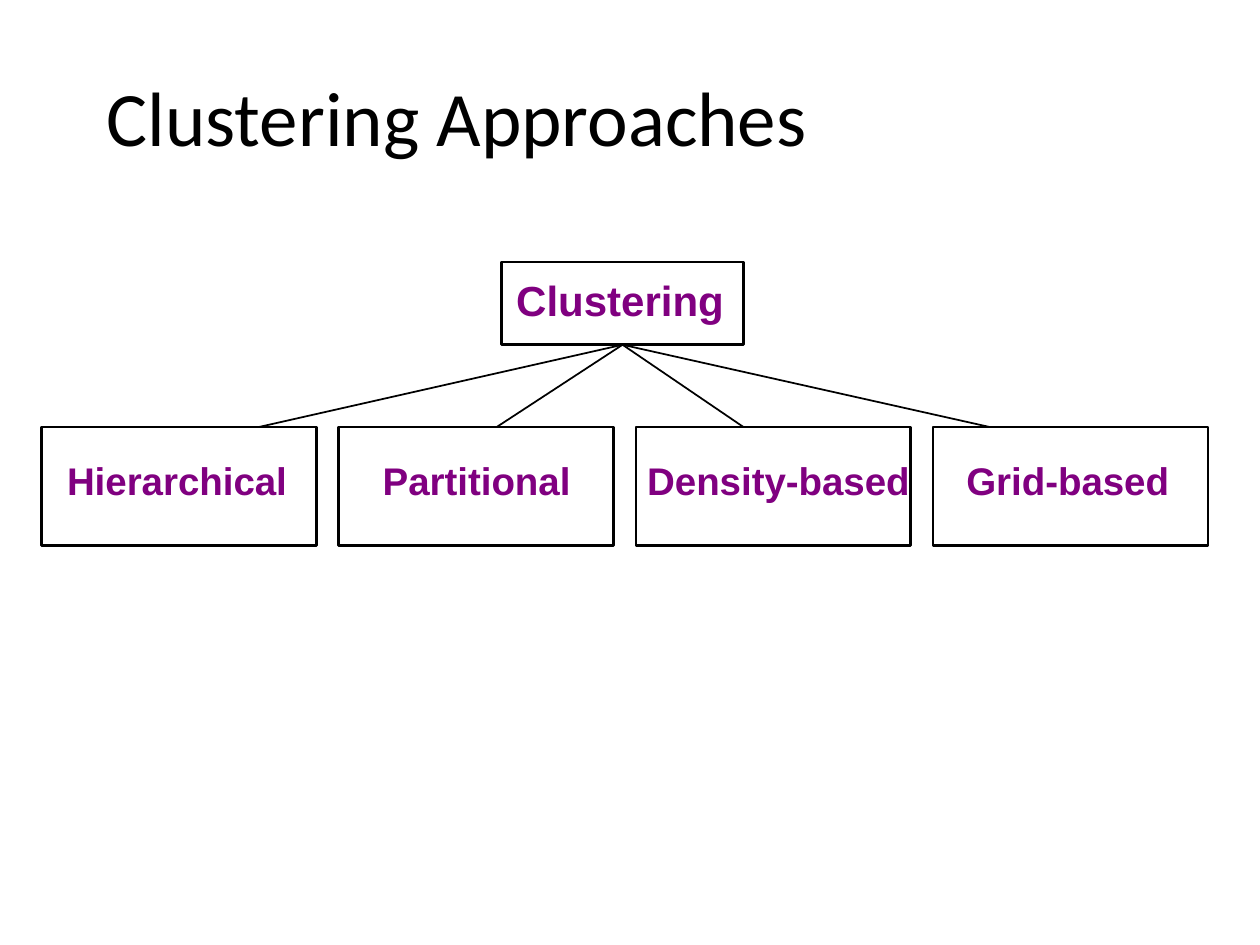
from pptx import Presentation
from pptx.dml.color import RGBColor
from pptx.enum.shapes import MSO_CONNECTOR, MSO_SHAPE
from pptx.enum.text import MSO_ANCHOR, PP_ALIGN
from pptx.oxml.ns import qn
from pptx.util import Cm, Pt
from lxml.etree import SubElement

TITLE = ("Clustering Approaches", (1.9, 0.64, 21.59, 3.38))
ROOT = ("Clustering", (10.06, 5.41, 4.88, 1.27))
# Label, label left, label width, x where the branch meets the box (cm)
APPROACHES = [
    ("Hierarchical", 1.07, 5.0, 5.21),
    ("Partitional", 7.44, 4.34, 10.01),
    ("Density-based", 12.75, 5.89, 14.99),
    ("Grid-based", 19.2, 4.65, 19.96),
]

ROOT_BOX = (10.11, 5.28, 4.88, 1.67)
BOX_LEFT, BOX_TOP, BOX_W, BOX_H, BOX_PITCH = 0.84, 8.61, 5.54, 2.39, 5.99
LABEL_TOP, LABEL_H = 9.09, 1.19

BLACK, PURPLE = RGBColor(0, 0, 0), RGBColor(0x80, 0, 0x80)
THEME = {
    "title": {"name": "Calibri", "size": Pt(44), "color": BLACK},
    "root": {"name": "Arial", "size": Pt(24), "bold": True, "color": PURPLE},
    "approach": {"name": "Arial", "size": Pt(22), "bold": True, "color": PURPLE},
    "line": BLACK,
    "box_width": Pt(1.5),
    "branch_width": Pt(1),
}


def cm(values):
    return [Cm(v) for v in values]


def add_text(shapes, text, place, style, align=PP_ALIGN.CENTER,
             anchor=MSO_ANCHOR.TOP, wrap=True):
    tf = shapes.add_textbox(*cm(place)).text_frame
    tf.word_wrap = wrap
    tf.vertical_anchor = anchor
    p = tf.paragraphs[0]
    p.alignment = align
    r = p.add_run()
    r.text = text
    for key, value in THEME[style].items():
        if key == "color":
            r.font.color.rgb = value
        else:
            setattr(r.font, key, value)


def add_box(shapes, place):
    sp = shapes.add_shape(MSO_SHAPE.RECTANGLE, *cm(place))
    sp.shadow.inherit = False
    sp.fill.background()
    sp.line.color.rgb = THEME["line"]
    sp.line.width = THEME["box_width"]
    return sp


def add_branch(shapes, root, x):
    """Join the bottom of the root box to the row of approaches at x."""
    start = root.left + root.width // 2, root.top + root.height
    branch = shapes.add_connector(MSO_CONNECTOR.STRAIGHT, *start, Cm(x), Cm(BOX_TOP))
    branch.begin_connect(root, 2)
    branch.line.color.rgb = THEME["line"]
    branch.line.width = THEME["branch_width"]
    SubElement(branch._element.spPr, qn("a:effectLst"))


def main():
    prs = Presentation()
    prs.slide_width, prs.slide_height = Cm(25.4), Cm(19.05)
    slide = prs.slides.add_slide(prs.slide_layouts[6])
    add_text(slide.shapes, *TITLE, "title", PP_ALIGN.LEFT, MSO_ANCHOR.MIDDLE)

    tree = slide.shapes.add_group_shape().shapes
    add_text(tree, *ROOT, "root")
    root = add_box(tree, ROOT_BOX)
    for i, (label, left, width, branch_x) in enumerate(APPROACHES):
        add_text(tree, label, (left, LABEL_TOP, width, LABEL_H), "approach", wrap=False)
        add_box(tree, (BOX_LEFT + i * BOX_PITCH, BOX_TOP, BOX_W, BOX_H))
        add_branch(tree, root, branch_x)

    prs.save("out.pptx")


if __name__ == "__main__":
    main()
